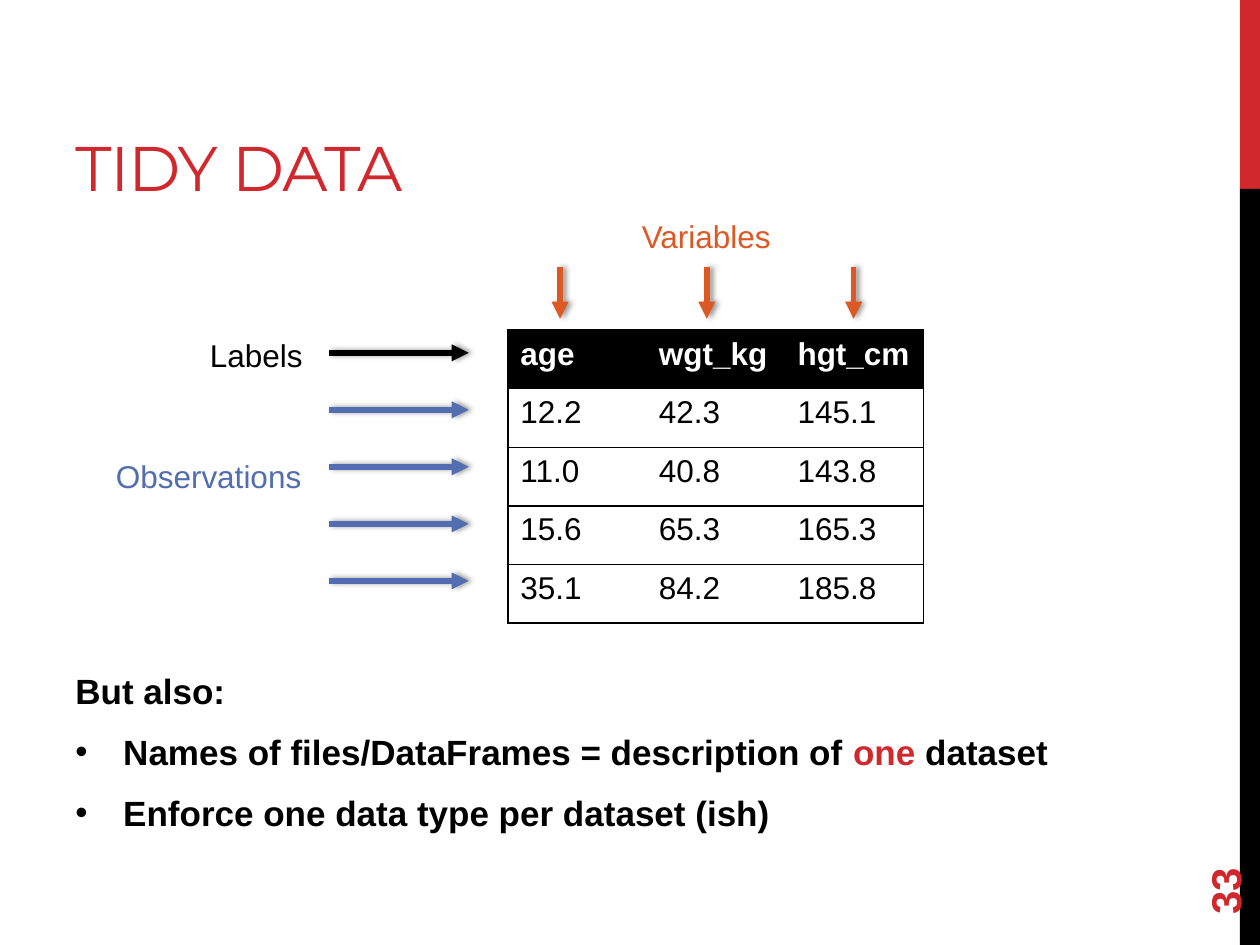
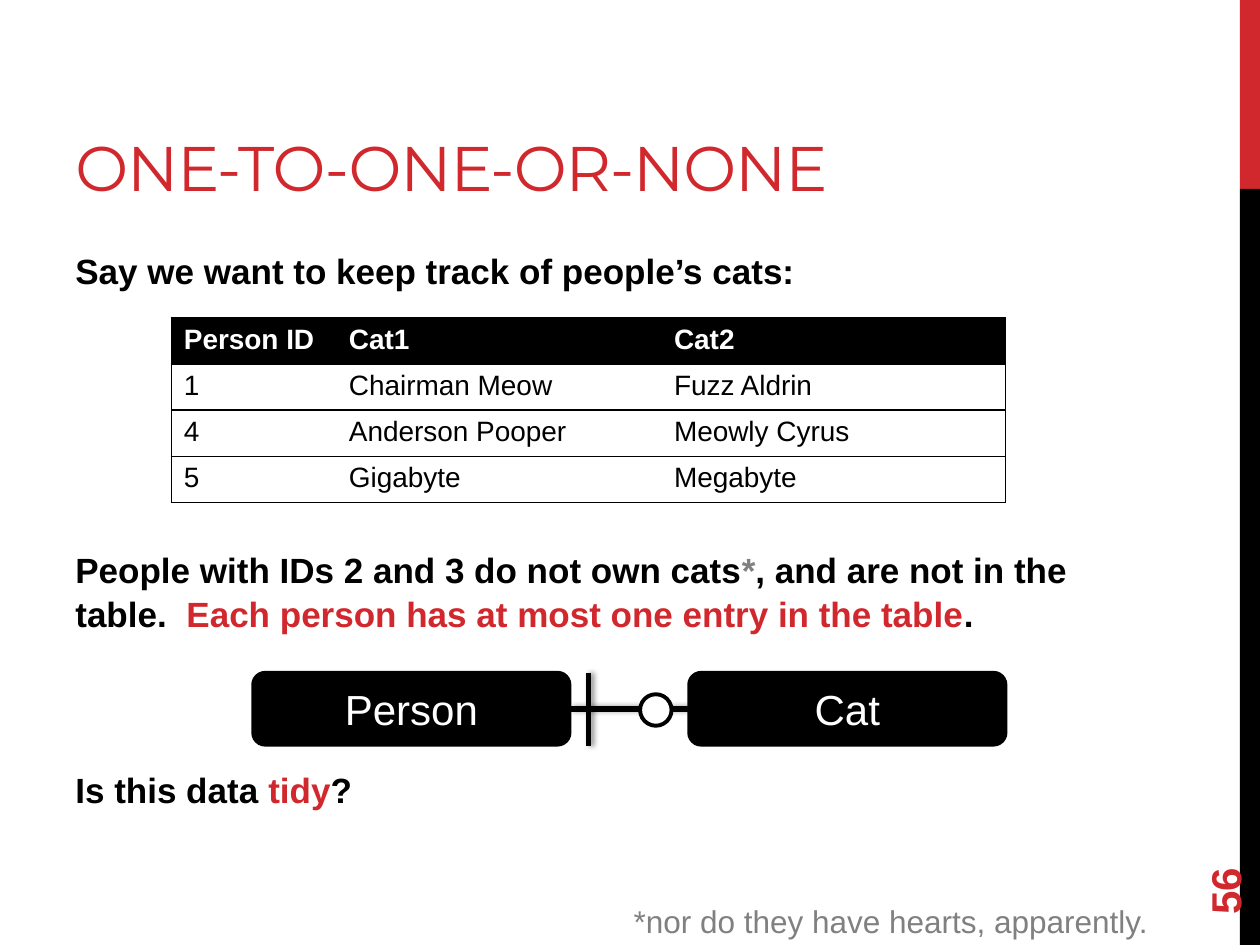
import pptx
import pptx.dml.color
import pptx.enum.shapes
import pptx.enum.text
import pptx.oxml
import pptx.oxml.ns
import pptx.util
from pptx.util import Inches

COLORS = {
    "red": "D1282E",
    "black": "000000",
    "white": "FFFFFF",
    "blue": "526DB0",
    "orange": "DC5924",
    "gray": "808080",
}
ALIGN = pptx.enum.text.PP_ALIGN
ANCHOR = pptx.enum.text.MSO_ANCHOR
SHAPE = pptx.enum.shapes.MSO_SHAPE

TITLE = {"name": "Montserrat", "size": 36, "color": "red"}
BODY = {"name": "Arial", "size": 20, "bold": True, "color": "black"}
LABEL = {"name": "Arial", "size": 18, "color": "black"}
ENTITY = {"name": "Arial", "size": 24, "color": "white"}
NUMBER = {"name": "Arial", "size": 24, "bold": True, "color": "red"}


def rgb(color):
    return pptx.dml.color.RGBColor.from_string(COLORS[color])


def xml(text):
    """Parse an element whose start tag carries the {ns} mark."""
    return pptx.oxml.parse_xml(text.replace("{ns}", pptx.oxml.ns.nsdecls("a")))


def set_font(font, style):
    for key, value in style.items():
        if key == "color":
            font.color.rgb = rgb(value)
        elif key == "size":
            font.size = pptx.util.Pt(value)
        else:
            setattr(font, key, value)


def add_run(p, text, style, **changes):
    r = p.add_run()
    r.text = text
    set_font(r.font, {**style, **changes})
    return r


def add_text(slide, box, text, style, align=ALIGN.LEFT, anchor=ANCHOR.TOP):
    """Add a one-paragraph text box and return the box and its run."""
    sp = slide.shapes.add_textbox(*map(Inches, box))
    tf = sp.text_frame
    tf.word_wrap = True
    tf.vertical_anchor = anchor
    p = tf.paragraphs[0]
    p.alignment = align
    return sp, add_run(p, text, style)


def add_body(slide, box, paragraphs):
    """Add bold body text; a paragraph is (bulleted, [(text, color), ...])."""
    tf = slide.shapes.add_textbox(*map(Inches, box)).text_frame
    tf.word_wrap = True
    for i, (bulleted, runs) in enumerate(paragraphs):
        p = tf.add_paragraph() if i else tf.paragraphs[0]
        p.line_spacing = 1.04
        p.space_before = pptx.util.Pt(4 if i else 0)
        p.space_after = pptx.util.Pt(6)
        if bulleted:
            pPr = p._p.get_or_add_pPr()
            pPr.set("marL", str(Inches(0.38)))
            pPr.set("indent", str(-Inches(0.38)))
            pPr.append(xml('<a:buFont {ns} typeface="Arial"/>'))
            pPr.append(xml('<a:buChar {ns} char="•"/>'))
        for text, color in runs:
            add_run(p, text, BODY, color=color)


def add_shape(slide, kind, box, fill, line=None):
    sp = slide.shapes.add_shape(kind, *map(Inches, box))
    sp.shadow.inherit = False
    sp.fill.solid()
    sp.fill.fore_color.rgb = rgb(fill)
    if line:
        sp.line.color.rgb = rgb(line)
        sp.line.width = pptx.util.Pt(2.25)
    else:
        sp.line.fill.background()
    return sp


def add_line(slide, start, end, color, arrow=False):
    """Add a thick straight line with a soft shadow to its right."""
    line = slide.shapes.add_connector(
        pptx.enum.shapes.MSO_CONNECTOR.STRAIGHT, *map(Inches, start + end))
    line.line.color.rgb = rgb(color)
    line.line.width = pptx.util.Pt(3.25)
    if arrow:
        line.line._get_or_add_ln().append(
            xml('<a:tailEnd {ns} type="triangle"/>'))
    line._element.spPr.append(xml(
        '<a:effectLst {ns}><a:outerShdw blurRad="39400" dist="22900" dir="0">'
        '<a:srgbClr val="000000"><a:alpha val="40000"/></a:srgbClr>'
        '</a:outerShdw></a:effectLst>'))
    return line


def add_entity(slide, left, name):
    sp = add_shape(slide, SHAPE.ROUNDED_RECTANGLE, (left, 5.34, 2.51, 0.57),
                   "black", "black")
    tf = sp.text_frame
    tf.vertical_anchor = ANCHOR.MIDDLE
    p = tf.paragraphs[0]
    p.alignment = ALIGN.CENTER
    add_run(p, name, ENTITY)
    return sp


def set_borders(cell, first, last):
    """Rule above and below; sides only at the table's outer edges."""
    tcPr = cell._tc.get_or_add_tcPr()
    for side, ruled in (("L", first), ("R", last), ("T", True), ("B", True)):
        fill = (f'<a:solidFill><a:srgbClr val="{COLORS["black"]}"/></a:solidFill>'
                if ruled else "<a:noFill/>")
        tcPr.append(xml(f'<a:ln{side} {{ns}} w="12700">{fill}</a:ln{side}>'))


def add_table(slide, left, top, widths, row_height, size, rows):
    table = slide.shapes.add_table(
        len(rows), len(widths), Inches(left), Inches(top),
        Inches(sum(widths)), Inches(row_height * len(rows))).table
    for column, width in zip(table.columns, widths):
        column.width = Inches(width)
    for i, values in enumerate(rows):
        header = i == 0
        for j, value in enumerate(values):
            cell = table.cell(i, j)
            set_borders(cell, j == 0, j == len(widths) - 1)
            cell.fill.solid()
            cell.fill.fore_color.rgb = rgb("black" if header else "white")
            add_run(cell.text_frame.paragraphs[0], value, LABEL, size=size,
                    bold=header, color="white" if header else "black")


def add_slide(prs, title, number):
    """Add a slide with the side bands, the title and the turned number."""
    slide = prs.slides.add_slide(prs.slide_layouts[6])
    add_shape(slide, SHAPE.RECTANGLE, (9.84, 0, 0.16, 1.5), "red")
    add_shape(slide, SHAPE.RECTANGLE, (9.84, 1.5, 0.16, 6), "black")
    _, r = add_text(slide, (0.5, 0.17, 6.33, 1.5), title, TITLE,
                    anchor=ANCHOR.BOTTOM)
    r._r.get_or_add_rPr().set("spc", "-60")
    sp, _ = add_text(slide, (9, 6.44, 1.44, 0.4), number, NUMBER,
                     anchor=ANCHOR.MIDDLE)
    sp.rotation = 270
    return slide


def add_tidy_data(prs):
    slide = add_slide(prs, "TIDY DATA", "33")
    add_body(slide, (0.5, 5.25, 8.33, 1.45), [
        (False, [("But also:", "black")]),
        (True, [("Names of files/DataFrames = description of ", "black"),
                ("one ", "red"), ("dataset", "black")]),
        (True, [("Enforce one data type per dataset (ish)", "black")]),
    ])
    add_table(slide, 4.03, 2.62, [1.1] * 3, 0.465, 18, [
        ("age", "wgt_kg", "hgt_cm"),
        ("12.2", "42.3", "145.1"),
        ("11.0", "40.8", "143.8"),
        ("15.6", "65.3", "165.3"),
        ("35.1", "84.2", "185.8"),
    ])
    for row in range(5):
        y = 2.8 + 0.4525 * row
        add_line(slide, (2.61, y), (3.72, y), "blue" if row else "black", True)
    for column in range(3):
        x = 4.445 + 1.165 * column
        add_line(slide, (x, 2.12), (x, 2.53), "orange", True)
    for text, box, color, align in (
            ("Labels", (1.25, 2.62, 1.25, 0.4), "black", ALIGN.RIGHT),
            ("Observations", (0.74, 3.58, 1.75, 0.4), "blue", ALIGN.RIGHT),
            ("Variables", (4.98, 1.67, 1.25, 0.4), "orange", ALIGN.CENTER)):
        add_text(slide, box, text, {**LABEL, "color": color}, align)


def add_one_to_one_or_none(prs):
    slide = add_slide(prs, "ONE-TO-ONE-OR-NONE", "56")
    for top, height, runs in (
            (1.92, 0.45, [("Say we want to keep track of people’s cats:", "black")]),
            (4.29, 0.8, [
                ("People with IDs 2 and 3 do not own cats", "black"),
                ("*", "gray"),
                (", and are not in the table.  ", "black"),
                ("Each person has at most one entry in the table", "red"),
                (".", "black")]),
            (6.04, 0.45, [("Is this data ", "black"), ("tidy", "red"),
                          ("?", "black")])):
        add_body(slide, (0.5, top, 8.33, height), [(False, runs)])
    add_table(slide, 1.36, 2.52, [1.31, 2.58, 2.73], 0.3675, 16, [
        ("Person ID", "Cat1", "Cat2"),
        ("1", "Chairman Meow", "Fuzz Aldrin"),
        ("4", "Anderson Pooper", "Meowly Cyrus"),
        ("5", "Gigabyte", "Megabyte"),
    ])
    person = add_entity(slide, 2.01, "Person")
    cat = add_entity(slide, 5.47, "Cat")
    link = add_line(slide, (5.47, 5.63), (4.52, 5.63), "black")
    link.begin_connect(cat, 1)
    link.end_connect(person, 3)
    add_line(slide, (4.67, 5.34), (4.67, 5.92), "black")
    add_shape(slide, SHAPE.OVAL, (5.08, 5.51, 0.25, 0.25), "white", "black")
    add_text(slide, (4.93, 7.11, 4.41, 0.4),
             "*nor do they have hearts, apparently.", {**LABEL, "color": "gray"})


def main():
    prs = pptx.Presentation()
    prs.slide_width = Inches(10)
    prs.slide_height = Inches(7.5)
    add_tidy_data(prs)
    add_one_to_one_or_none(prs)
    prs.save("out.pptx")


if __name__ == "__main__":
    main()
